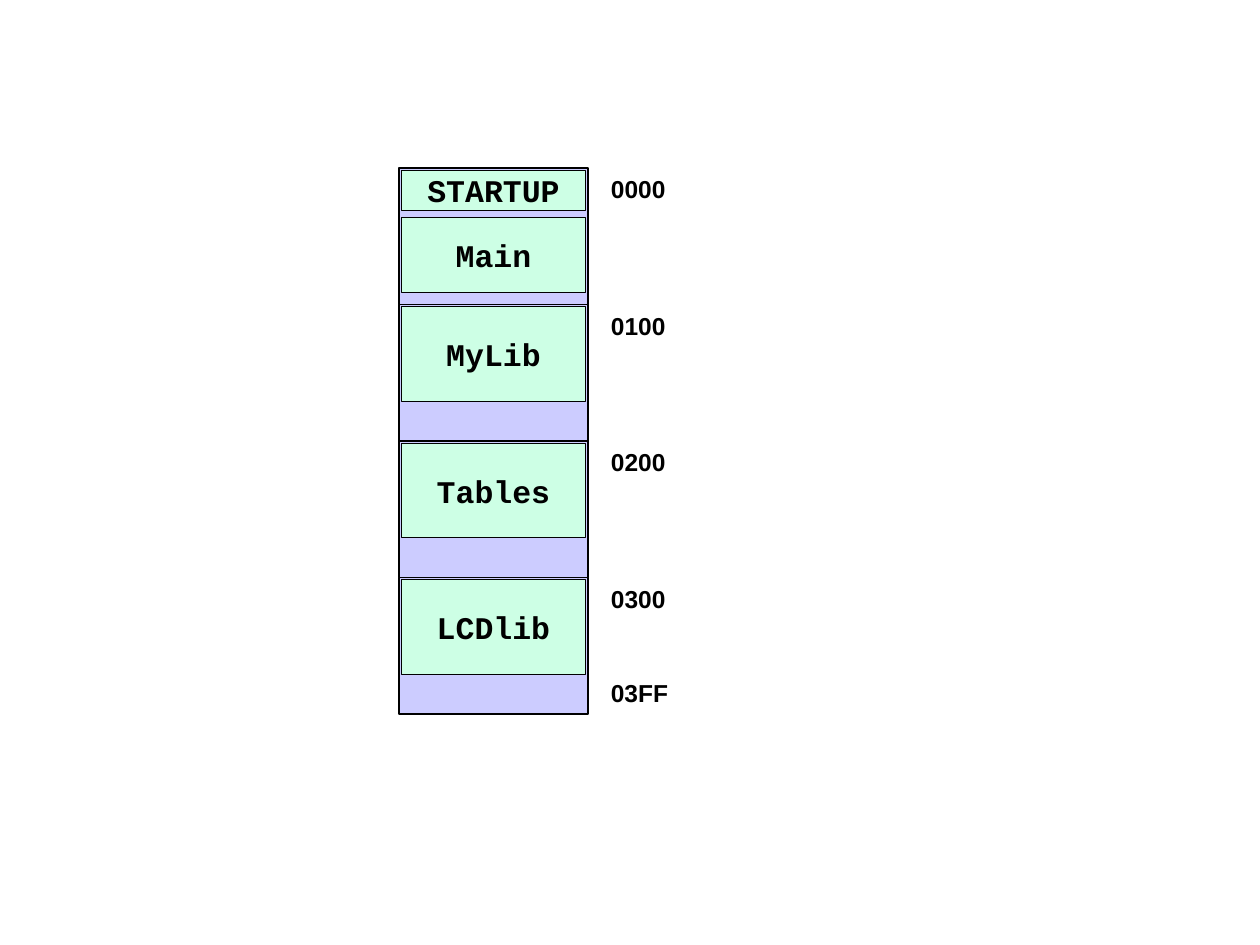
from pptx import Presentation
from pptx.dml.color import RGBColor
from pptx.enum import shapes, text
from pptx.util import Pt

LEFT, TOP, WIDTH, PAGE = 228, 96, 108, 78
INSET = 1.25


def color(value):
    return RGBColor.from_string(value)


def add_text(sp, label, font, size, align):
    tf = sp.text_frame
    tf.word_wrap = False
    p = tf.paragraphs[0]
    p.text = label
    p.alignment = align
    p.font.name = font
    p.font.size = Pt(size)
    p.font.bold = True
    p.font.color.rgb = color("000000")
    return tf


def add_box(s, x, y, w, h, fill, line):
    sp = s.shapes.add_shape(shapes.MSO_SHAPE.RECTANGLE, Pt(x), Pt(y), Pt(w), Pt(h))
    sp.shadow.inherit = False
    sp.fill.solid()
    sp.fill.fore_color.rgb = color(fill)
    sp.line.color.rgb = color("000000")
    sp.line.width = Pt(line)
    return sp


def add_module(s, label, y, h):
    sp = add_box(s, LEFT + INSET, y, 105.5, h, "CDFFE5", 0.26)
    tf = add_text(sp, label, "Courier New", 18, text.PP_ALIGN.CENTER)
    tf.vertical_anchor = text.MSO_ANCHOR.MIDDLE


def add_address(s, label, y, w=46):
    sp = s.shapes.add_textbox(Pt(342), Pt(y), Pt(w), Pt(24.2))
    tf = add_text(sp, label, "Arial", 14, text.PP_ALIGN.LEFT)
    tf.auto_size = text.MSO_AUTO_SIZE.SHAPE_TO_FIT_TEXT


def main():
    prs = Presentation()
    prs.slide_width, prs.slide_height = Pt(720), Pt(540)
    s = prs.slides.add_slide(prs.slide_layouts[6])

    page_tops = [TOP + i * PAGE for i in range(4)]
    for y in page_tops:
        add_box(s, LEFT, y, WIDTH, PAGE, "CCCCFF", 0.99)

    modules = [("STARTUP", 22.75), ("MyLib", 54), ("Tables", 54), ("LCDlib", 54)]
    for (label, h), y in zip(modules, page_tops):
        add_module(s, label, y + INSET, h)
    add_module(s, "Main", 124.25, 43)

    for i, y in enumerate(page_tops):
        add_address(s, f"0{i}00", y)
    add_address(s, "03FF", 384, 47.5)

    prs.save("out.pptx")


main()
